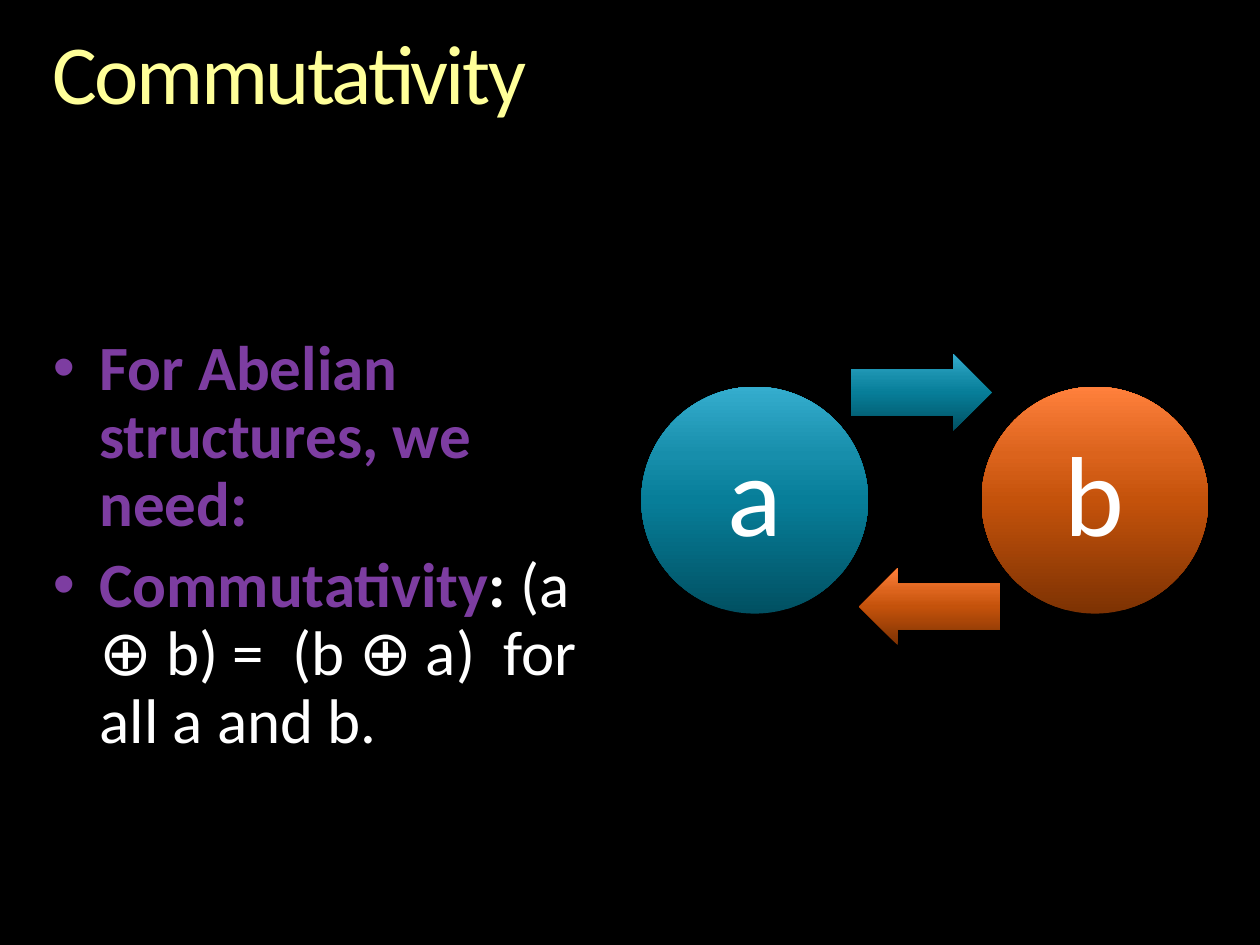
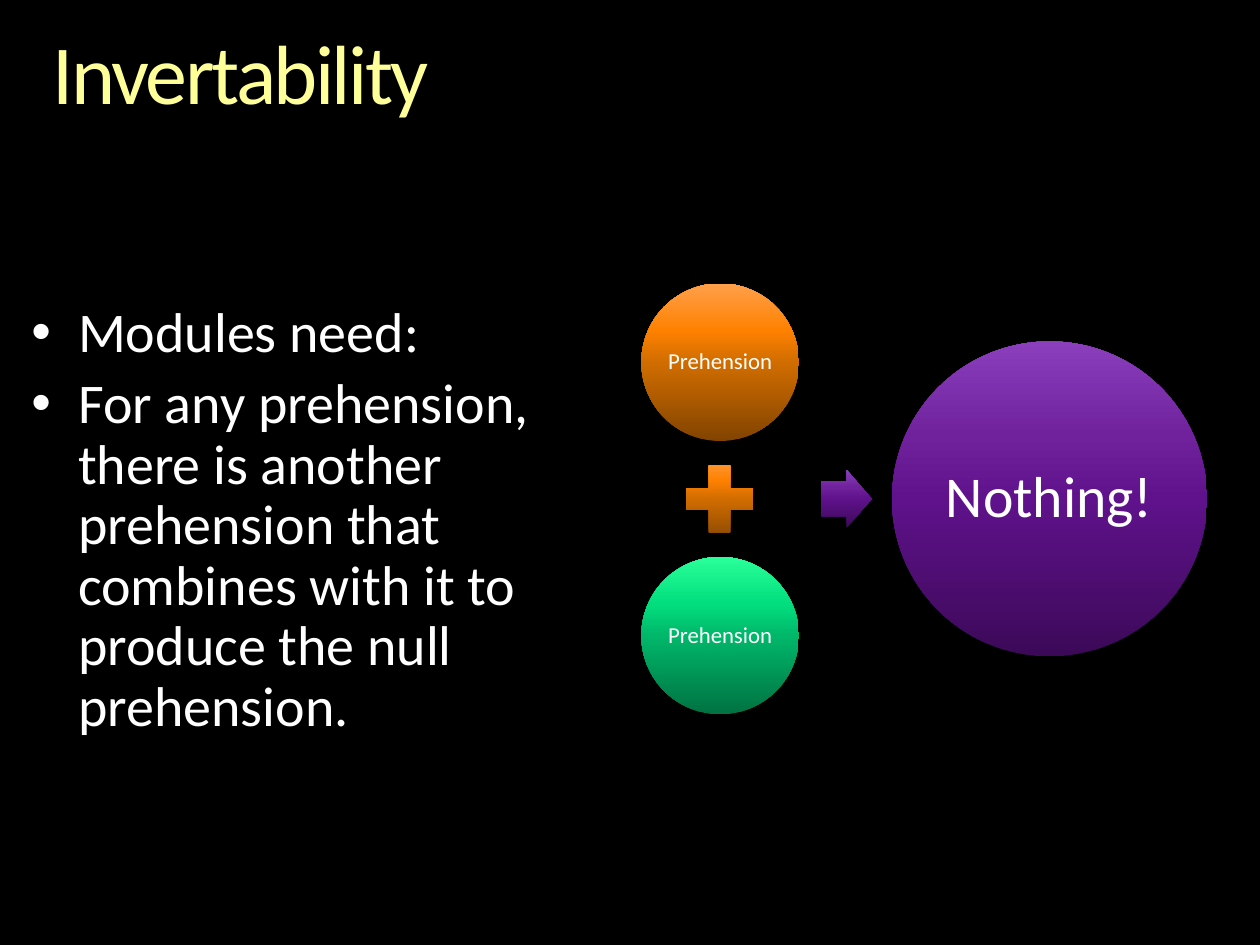
"""Builds two slides on algebraic laws: commutativity and invertability."""
from lxml import etree
from pptx import Presentation
from pptx import util as u
from pptx.dml import color
from pptx.enum import shapes, text
from pptx.oxml import ns

COLOURS = {"ground": "000000", "title": "FFFF99", "text": "FFFFFF", "term": "7D3DA1"}
GRADIENTS = {
    "teal": ("015062", "077E99", "178EAB", "35ADCE"),
    "rust": ("7D3203", "C4520B", "DB631C", "FF803C"),
    "orange": ("824400", "D16D00", "FE8100", "FFA04B"),
    "green": ("007242", "00B76A", "02DE7E", "29FF99"),
    "purple": ("3C0958", "5F128B", "6F229C", "8B3FBD"),
}
STOPS = (0, 50, 70, 100)
FORM = shapes.MSO_SHAPE


class Deck:
    """Holds the shared style and the current slide."""

    def __init__(self):
        self.prs = Presentation()
        self.prs.slide_width, self.prs.slide_height = u.Inches(10), u.Inches(7.5)
        self.slide = None

    def start_slide(self, heading):
        self.slide = self.prs.slides.add_slide(self.prs.slide_layouts[6])
        ground = self.slide.background.fill
        ground.solid()
        ground.fore_color.rgb = color.RGBColor.from_string(COLOURS["ground"])
        title = self.text_frame(0.42, 0.25, 9.17, 0.73).paragraphs[0]
        title.line_spacing = 0.9
        run = self.add_run(title, heading, 48, "title")
        run.font._element.set("spc", "-150")

    def text_frame(self, left, top, width, height):
        box = self.slide.shapes.add_textbox(*map(u.Inches, (left, top, width, height)))
        self.set_insets(box.text_frame, 0)
        box.text_frame.word_wrap = True
        return box.text_frame

    def set_insets(self, frame, inset):
        frame.margin_left = frame.margin_right = u.Inches(inset)
        frame.margin_top = frame.margin_bottom = u.Inches(inset)

    def add_run(self, paragraph, words, size, colour="text", bold=False):
        run = paragraph.add_run()
        run.text = words
        run.font.name, run.font.size, run.font.bold = "Calibri", u.Pt(size), bold
        run.font.color.rgb = color.RGBColor.from_string(COLOURS[colour])
        return run

    def bullets(self, left, top, height, size, points):
        frame = self.text_frame(left, top, 4.5, height)
        for index, pieces in enumerate(points):
            point = frame.add_paragraph() if index else frame.paragraphs[0]
            point.line_spacing = 0.9
            point.space_before = u.Pt(0.2 * size)
            props = point._p.get_or_add_pPr()
            props.set("marL", str(u.Inches(0.37)))
            props.set("indent", str(u.Inches(-0.37)))
            etree.SubElement(props, ns.qn("a:buFont"), typeface="Arial")
            etree.SubElement(props, ns.qn("a:buChar"), char="•")
            for piece in pieces:
                self.add_run(point, piece[0], size, *piece[1:])

    def figure(self, form, gradient, left, top, width, height):
        shape = self.slide.shapes.add_shape(form, *map(u.Inches, (left, top, width, height)))
        shape.fill.gradient()
        shape.fill.gradient_angle = 90
        stops = shape._element.spPr.find(".//" + ns.qn("a:gsLst"))
        for stop in list(stops):
            stops.remove(stop)
        for position, hue in zip(STOPS, GRADIENTS[gradient]):
            stop = etree.SubElement(stops, ns.qn("a:gs"), pos=str(position * 1000))
            etree.SubElement(stop, ns.qn("a:srgbClr"), val=hue)
        shape.line.fill.background()
        shape.shadow.inherit = False
        return shape

    def arrow(self, form, gradient, left, top, width, height):
        arrow = self.figure(form, gradient, left, top, width, height)
        arrow.adjustments[0], arrow.adjustments[1] = 0.6, 0.5

    def circle(self, label, gradient, left, top, diameter, size, inset):
        frame = self.figure(FORM.OVAL, gradient, left, top, diameter, diameter).text_frame
        self.set_insets(frame, inset)
        frame.word_wrap = False
        frame.vertical_anchor = text.MSO_ANCHOR.MIDDLE
        paragraph = frame.paragraphs[0]
        paragraph.alignment = text.PP_ALIGN.CENTER
        paragraph.line_spacing = 0.9
        self.add_run(paragraph, label, size)


def commutativity(deck):
    deck.start_slide("Commutativity")
    deck.bullets(0.42, 2.67, 3.39, 36, [
        [("For Abelian structures, we need:", "term", True)],
        [("Commutativity", "term", True), (": ", "text", True),
         ("(a ⊕ b) =  (b ⊕ a)  for all a and b.",)],
    ])
    deck.circle("a", "teal", 5.09, 3.07, 1.8, 65, 0.09)
    deck.arrow(FORM.RIGHT_ARROW, "teal", 6.75, 2.81, 1.12, 0.61)
    deck.circle("b", "rust", 7.79, 3.07, 1.8, 65, 0.09)
    deck.arrow(FORM.LEFT_ARROW, "rust", 6.82, 4.51, 1.12, 0.61)


def invertability(deck):
    deck.start_slide("Invertability")
    deck.bullets(0.25, 2.41, 4.02, 32, [
        [("Modules need:",)],
        [("For any prehension, there is another prehension that combines "
          "with it to produce the null prehension.",)],
    ])
    for gradient, top in (("orange", 2.25), ("green", 4.42)):
        deck.circle("Prehension", gradient, 5.09, top, 1.25, 13, 0.02)
    deck.figure(FORM.MATH_PLUS, "orange", 5.35, 3.6, 0.72, 0.72)
    deck.arrow(FORM.RIGHT_ARROW, "purple", 6.52, 3.73, 0.4, 0.46)
    deck.circle("Nothing!", "purple", 7.08, 2.71, 2.5, 33, 0.05)


def main():
    deck = Deck()
    commutativity(deck)
    invertability(deck)
    deck.prs.save("out.pptx")


if __name__ == "__main__":
    main()
